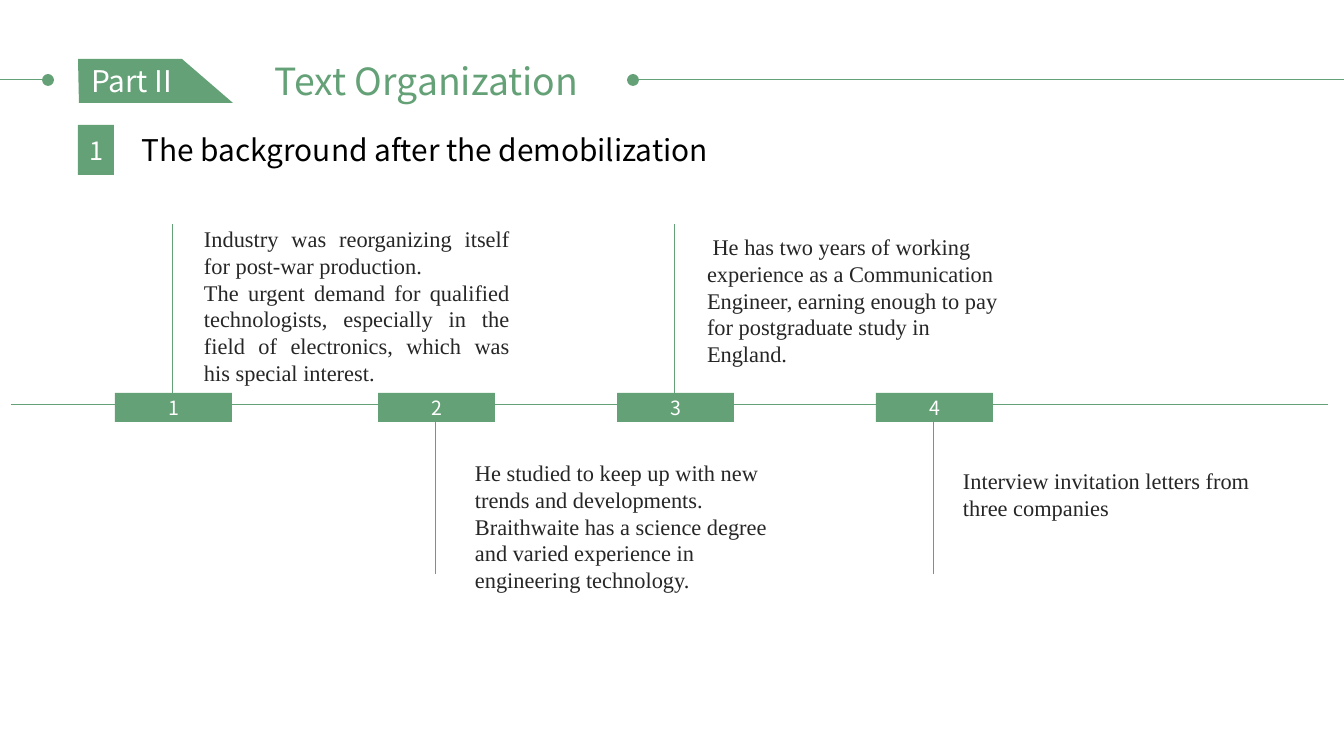
from lxml import etree
from pptx import Presentation
from pptx.dml.color import RGBColor
from pptx.enum.shapes import MSO_CONNECTOR, MSO_SHAPE
from pptx.enum.text import MSO_ANCHOR as ANCHOR, MSO_AUTO_SIZE, PP_ALIGN as ALIGN
from pptx.oxml.ns import qn
from pptx.util import Pt

SCALE = 914400 / 134.4
WIDTH, HEIGHT = 1344, 756
COLORS = {"green": "64A177", "white": "FFFFFF", "ink": "262626", "black": "000000"}
SANS, SERIF = "Noto Sans CJK SC", "Times New Roman"
INSET_X, INSET_Y = 13, 7

MILESTONES = [
    (115, "up", (191, 218, 332, 176), ALIGN.JUSTIFY, [
        "Industry was reorganizing itself for post-war production. ",
        "The urgent demand for qualified technologists, especially in the field "
        "of electronics, which was his special interest."]),
    (378, "down", (462, 452, 352, 149), ALIGN.LEFT, [
        "He studied to keep up with new trends and developments.",
        "Braithwaite has a science degree and varied experience in engineering technology."]),
    (617, "up", (694, 226, 324, 176), ALIGN.LEFT, [
        " He has two years of working experience as a Communication Engineer, "
        "earning enough to pay for postgraduate study in England."]),
    (876, "down", (950, 460, 352, 67), ALIGN.LEFT, [
        "Interview invitation letters from three companies"]),
]


def px(*lengths):
    return [round(length * SCALE) for length in lengths]


def color(name):
    return RGBColor.from_string(COLORS[name])


def set_values(target, values):
    for name, value in values.items():
        setattr(target, name, value)


def write(shape, texts, size, tint, font=SANS, align=ALIGN.LEFT,
          anchor=ANCHOR.MIDDLE, inset=(INSET_X, 0), spacing=None):
    frame = shape.text_frame
    side, edge = px(*inset)
    set_values(frame, {"word_wrap": True, "auto_size": MSO_AUTO_SIZE.NONE,
                       "vertical_anchor": anchor, "margin_left": side,
                       "margin_right": side, "margin_top": edge, "margin_bottom": edge})
    for index, text in enumerate(texts):
        para = frame.add_paragraph() if index else frame.paragraphs[0]
        para.text = text
        set_values(para, {"alignment": align, "line_spacing": spacing})
        set_values(para.font, {"name": font, "size": Pt(size)})
        para.font.color.rgb = color(tint)


def fill_green(shape):
    shape.shadow.inherit = False
    shape.fill.solid()
    shape.fill.fore_color.rgb = color("green")
    shape.line.fill.background()
    return shape


def add_block(page, box, kind=MSO_SHAPE.RECTANGLE):
    return fill_green(page.shapes.add_shape(kind, *px(*box)))


def add_line(page, *ends):
    line = page.shapes.add_connector(MSO_CONNECTOR.STRAIGHT, *px(*ends))
    line.line.color.rgb = color("green")
    line.line.width = Pt(0.5)
    etree.SubElement(line._element.spPr, qn("a:effectLst"))


def add_rule(page, start, end, y, dot_x):
    add_line(page, start, y, end, y)
    dot = add_block(page, (dot_x - 5, y - 5, 10, 10), MSO_SHAPE.OVAL)
    dot.line.color.rgb = color("green")
    dot.line.width = Pt(1)


def add_header(page, box):
    left, top, width, height = box
    middle = top + height // 2 - 1
    builder = page.shapes.build_freeform(left, top, scale=SCALE)
    builder.add_line_segments([(left + 104, top), (left + 155, top + height),
                               (left + 1, top + height)])
    tab = fill_green(builder.convert_to_shape())
    write(tab, ["Part II"], 16, "white")

    add_rule(page, 0, left - 30, middle, left - 30)
    add_rule(page, left + 555, left + width, middle, left + 555)

    title = page.shapes.title
    title.left, title.top, title.width, title.height = px(left + 153, top - 8, 391, height + 15)
    write(title, ["Text Organization"], 20, "green", align=ALIGN.CENTER)


def add_subheading(page, box):
    left, top, width, height = box
    badge = add_block(page, (left, top, 36, height))
    write(badge, ["1"], 13.5, "white", align=ALIGN.CENTER, inset=(0, 0))
    label = page.shapes.add_textbox(*px(left + 51, top, width - 51, height))
    write(label, ["The background after the demobilization"], 16, "black")


def add_timeline(page, box):
    left, top, width, height = box
    axis = top + 180
    marker_width, marker_height = 117, 29
    add_line(page, left, axis, left + width, axis)
    for number, (x, side, note_box, align, texts) in enumerate(MILESTONES, 1):
        center = x + marker_width // 2
        add_line(page, center, axis, center, top if side == "up" else top + height)
        marker = add_block(page, (x, axis - 11, marker_width, marker_height))
        write(marker, [str(number)], 10.5, "white", align=ALIGN.CENTER)
        note = page.shapes.add_textbox(*px(*note_box))
        write(note, texts, 12, "ink", SERIF, align, ANCHOR.TOP,
              (INSET_X, INSET_Y), Pt(14.4))


def main():
    deck = Presentation()
    deck.slide_width, deck.slide_height = px(WIDTH, HEIGHT)
    page = deck.slides.add_slide(deck.slide_layouts[5])
    add_header(page, (78, 59, WIDTH - 78, 44))
    add_subheading(page, (78, 125, 817, 50))
    add_timeline(page, (11, 224, 1317, 350))
    deck.save("out.pptx")


if __name__ == "__main__":
    main()
